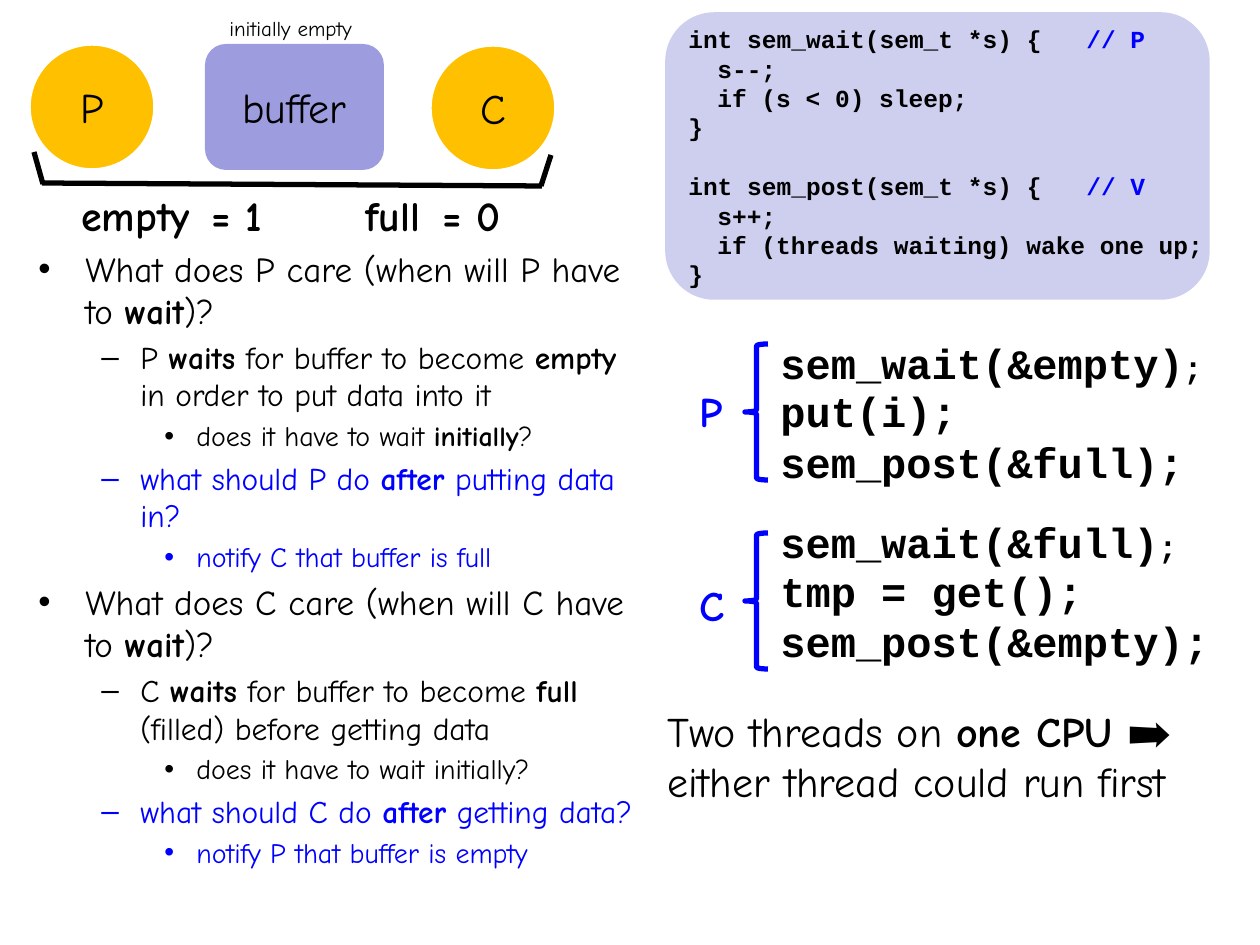
from dataclasses import dataclass

from lxml import etree
from pptx import Presentation
from pptx.dml.color import RGBColor
from pptx.enum import shapes, text
from pptx.oxml.ns import qn
from pptx.util import Emu, Pt

PX = 914400 / 126
HAND, MONO = "Comic Neue", "Courier New"
BLACK, BLUE, WHITE = "000000", "0000FF", "FFFFFF"
AMBER, VIOLET, LILAC = "FFC000", "9C9CDF", "CECEEF"


@dataclass
class Span:
    words: str
    size: float = 24
    bold: bool = False
    color: str = BLACK
    font: str = HAND


@dataclass
class Level:
    left: int
    hang: int
    size: int
    bullet: str


@dataclass
class Point:
    level: int
    words: str  # bold parts stand between asterisks
    color: str = BLACK


@dataclass
class Thread:
    name: str
    name_top: int
    brace_top: int
    line_tops: tuple[int, ...]
    lines: tuple[tuple[str, str], ...]  # large code, small ending


def px(length: float) -> Emu:
    return Emu(round(length * PX))


def rgb(color: str) -> RGBColor:
    return RGBColor.from_string(color)


def add_spans(para, spans: list[Span]) -> None:
    for span in spans:
        run = para.add_run()
        run.text = span.words
        run.font.name = span.font
        run.font.size = Pt(span.size)
        run.font.bold = span.bold
        run.font.color.rgb = rgb(span.color)


def add_box(page, left: int, top: int, width: int, height: int,
            spans: list[Span] = (), wrap: bool = False, grow: bool = True):
    frame = page.shapes.add_textbox(px(left), px(top), px(width), px(height)).text_frame
    frame.word_wrap = wrap
    frame.auto_size = (text.MSO_AUTO_SIZE.SHAPE_TO_FIT_TEXT if grow
                       else text.MSO_AUTO_SIZE.NONE)
    add_spans(frame.paragraphs[0], spans)
    return frame


def add_paragraph(frame, index: int):
    return frame.add_paragraph() if index else frame.paragraphs[0]


def add_shape(page, kind, left: int, top: int, width: int, height: int,
              fill: str = "", line: str = "", weight: float = 2, label: str = "") -> None:
    shape = page.shapes.add_shape(kind, px(left), px(top), px(width), px(height))
    shape.shadow.inherit = False
    if fill:
        shape.fill.solid()
        shape.fill.fore_color.rgb = rgb(fill)
    else:
        shape.fill.background()
    if line:
        shape.line.color.rgb = rgb(line)
        shape.line.width = Pt(weight)
    else:
        shape.line.fill.background()
    if label:
        shape.text_frame.vertical_anchor = text.MSO_ANCHOR.MIDDLE
        para = shape.text_frame.paragraphs[0]
        para.alignment = text.PP_ALIGN.CENTER
        add_spans(para, [Span(label)])


def add_line(page, start: tuple[int, int], end: tuple[int, int]) -> None:
    line = page.shapes.add_connector(shapes.MSO_CONNECTOR.STRAIGHT,
                                     *map(px, start + end))
    line.line.color.rgb = rgb(BLACK)
    line.line.width = Pt(3)
    etree.SubElement(line._element.spPr, qn("a:effectLst"))


def add_point(para, point: Point) -> None:
    level = LEVELS[point.level]
    para.level = point.level
    para.space_before = Pt(level.size * 0.2)
    props = para._p.get_or_add_pPr()
    props.set("marL", str(px(level.left)))
    props.set("indent", str(px(-level.hang)))
    etree.SubElement(props, qn("a:buFont"), typeface="Arial")
    etree.SubElement(props, qn("a:buChar"), char=level.bullet)
    add_spans(para, [Span(part, level.size, i % 2 == 1, point.color)
                     for i, part in enumerate(point.words.split("*"))])


def add_code_line(para, depth: int, code: str, comment: str) -> None:
    props = para._p.get_or_add_pPr()
    props.set("marL", str(px(29 * depth)))
    spans = [Span(code, 14, True, BLACK, MONO)]
    if comment:
        tabs = etree.SubElement(props, qn("a:tabLst"))
        etree.SubElement(tabs, qn("a:tab"), pos=str(px(398)), algn="l")
        spans.append(Span("\t" + comment, 14, True, BLUE, MONO))
    add_spans(para, spans)


def add_thread(page, thread: Thread) -> None:
    for top, (code, ending) in zip(thread.line_tops, thread.lines):
        spans = [Span(code, 24, True, BLACK, MONO)]
        if ending:
            spans.append(Span(ending, 18, True, BLACK, MONO))
        width = 25 * len(code + ending) + 32  # character advance plus insets
        add_box(page, 768, top, width, 63, spans)
    add_shape(page, shapes.MSO_SHAPE.LEFT_BRACE, 745, thread.brace_top, 23, 136,
              line=BLUE, weight=3)
    add_box(page, 687, thread.name_top, 50, 63, [Span(thread.name, 24, True, BLUE)])


LEVELS = [Level(47, 47, 20, "•"), Level(102, 39, 18, "–"), Level(158, 32, 16, "•")]
POINTS = [
    Point(0, "What does P care (when will P have to *wait*)?"),
    Point(1, "P *waits* for buffer to become *empty* in order to put data into it"),
    Point(2, "does it have to wait *initially*?"),
    Point(1, "what should P do *after* putting data in?", BLUE),
    Point(2, "notify C that buffer is full", BLUE),
    Point(0, "What does C care (when will C have to *wait*)?"),
    Point(1, "C *waits* for buffer to become *full* (filled) before getting data"),
    Point(2, "does it have to wait initially?"),
    Point(1, "what should C do *after* getting data?", BLUE),
    Point(2, "notify P that buffer is empty", BLUE),
]
FUNCTIONS = [
    [(0, "int sem_wait(sem_t *s) {", "// P"), (1, "s--;", ""),
     (1, "if (s < 0) sleep;", ""), (0, "}", "")],
    [(0, "int sem_post(sem_t *s) {", "// V"), (1, "s++;", ""),
     (1, "if (threads waiting) wake one up;", ""), (0, "}", "")],
]
THREADS = [
    Thread("P", 379, 344, (331, 379, 430),
           (("sem_wait(&empty)", ";"), ("put(i);", ""), ("sem_post(&full);", ""))),
    Thread("C", 573, 533, (510, 559, 609),
           (("sem_wait(&full)", ";"), ("tmp = get();", ""), ("sem_post(&empty);", ""))),
]


def main() -> None:
    deck = Presentation()
    deck.slide_width, deck.slide_height = px(1260), px(945)
    page = deck.slides.add_slide(deck.slide_layouts[6])

    # Producer, buffer and consumer
    rounded, circle = shapes.MSO_SHAPE.ROUNDED_RECTANGLE, shapes.MSO_SHAPE.OVAL
    add_shape(page, rounded, 667, 14, 541, 284, LILAC, LILAC)
    add_shape(page, rounded, 205, 44, 179, 126, VIOLET, label="buffer")
    add_shape(page, circle, 29, 44, 126, 126, AMBER, WHITE, label="P")
    add_shape(page, circle, 430, 45, 126, 126, AMBER, WHITE, label="C")
    add_box(page, 217, 9, 165, 38, [Span("initially empty", 12)])

    # Questions
    frame = add_box(page, 26, 241, 630, 571, wrap=True, grow=False)
    for index, point in enumerate(POINTS):
        add_point(add_paragraph(frame, index), point)

    # Semaphore values
    for left, width, words in [(69, 147, "empty"), (199, 96, "= 1"),
                               (353, 92, "full"), (430, 96, "= 0")]:
        add_box(page, left, 183, width, 63, [Span(words, bold=True)])

    # Semaphore functions
    frame = add_box(page, 676, 18, 543, 305)
    for number, function in enumerate(FUNCTIONS):
        for row, line in enumerate(function):
            para = add_paragraph(frame, number + row)
            add_code_line(para, *line)
            if number and not row:
                para.space_before = Pt(16.8)

    # Thread code and conclusion
    for thread in THREADS:
        add_thread(page, thread)
    add_box(page, 655, 699, 592, 115,
            [Span("Two threads on "), Span("one CPU ", bold=True),
             Span("➡️ either thread could run first")], wrap=True)

    # Bracket under the diagram
    add_line(page, (42, 183), (542, 186))
    add_line(page, (541, 186), (551, 155))
    add_line(page, (43, 184), (34, 152))

    deck.save("out.pptx")


if __name__ == "__main__":
    main()
